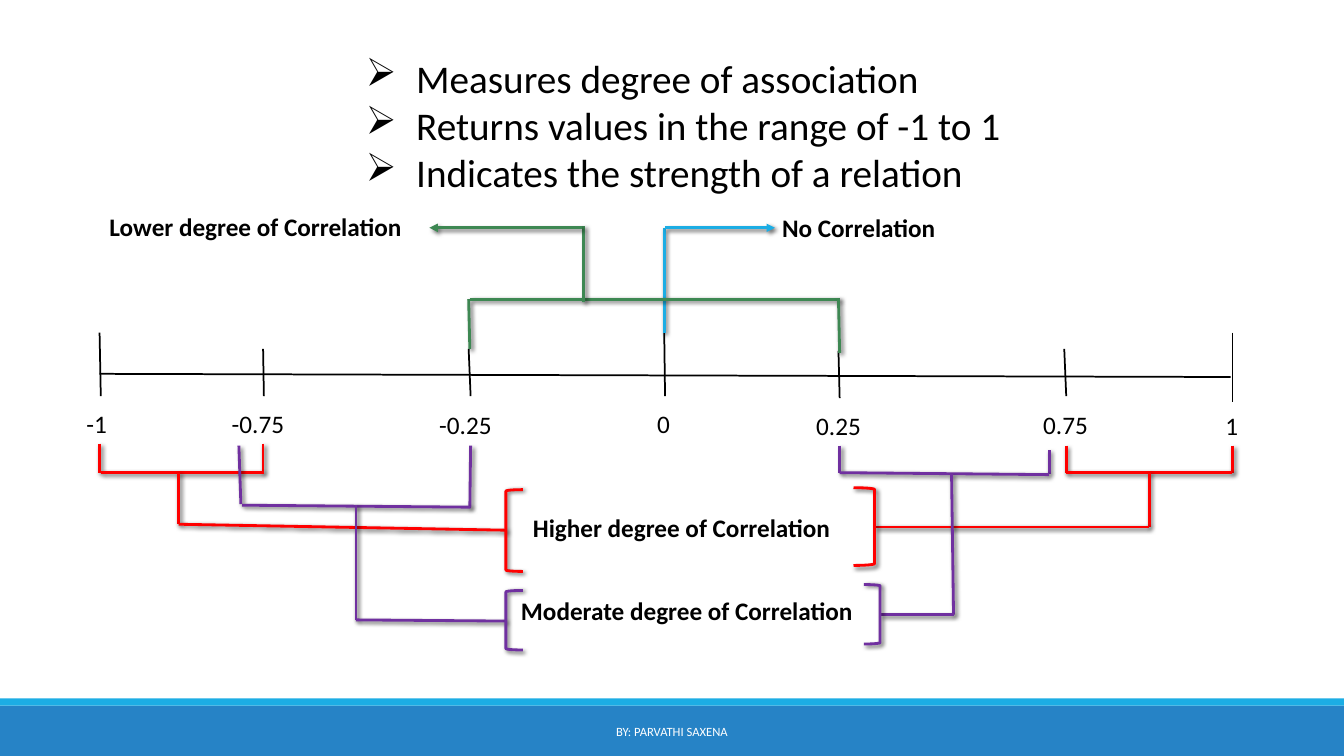
"""Build a slide that explains the scale of the correlation coefficient."""
import pptx
import pptx.dml.color
import pptx.enum.shapes
import pptx.enum.text
import pptx.oxml.ns
import pptx.util
from lxml import etree

Cm, Pt = pptx.util.Cm, pptx.util.Pt
rgb = pptx.dml.color.RGBColor.from_string
qn = pptx.oxml.ns.qn
PRESETS = pptx.enum.shapes.MSO_SHAPE
ALIGN = pptx.enum.text.PP_ALIGN

BLACK, WHITE = "000000", "FFFFFF"
BLUE, GREEN, RED, PURPLE = "1CADE4", "3E8853", "FF0000", "7030A0"

deck = pptx.Presentation()
deck.slide_width, deck.slide_height = Cm(33.87), Cm(19.05)
slide = deck.slides.add_slide(deck.slide_layouts[6])


def add_text(lines, left, top, width, height=1.02, size=18, color=BLACK, bold=False):
    frame = slide.shapes.add_textbox(Cm(left), Cm(top), Cm(width), Cm(height)).text_frame
    frame.word_wrap = True
    for index, line in enumerate(lines):
        paragraph = frame.add_paragraph() if index else frame.paragraphs[0]
        run = paragraph.add_run()
        run.text = line
        run.font.name = "Calibri"
        run.font.size = Pt(size)
        run.font.bold = bold
        run.font.color.rgb = rgb(color)
    return frame


def style_stroke(stroke, color, width, shadowed):
    stroke.line.color.rgb = rgb(color)
    stroke.line.width = Pt(width)
    effects = etree.SubElement(stroke.element.spPr, qn("a:effectLst"))
    if shadowed:
        shadow = etree.SubElement(effects, qn("a:outerShdw"), blurRad=str(Pt(3)),
                                  dist=str(Pt(2)), dir="2700000", rotWithShape="0")
        shade = etree.SubElement(shadow, qn("a:srgbClr"), val=BLACK)
        etree.SubElement(shade, qn("a:alpha"), val="60000")


for top, height, color in [(17.78, 1.27, "2683C6"), (17.6, 0.18, BLUE)]:
    band = slide.shapes.add_shape(PRESETS.RECTANGLE, 0, Cm(top), deck.slide_width, Cm(height))
    band.shadow.inherit = False
    band.fill.solid()
    band.fill.fore_color.rgb = rgb(color)
    band.line.fill.background()

key_points = add_text(["Measures degree of association",
                       "Returns values in the range of -1 to 1",
                       "Indicates the strength of a relation"], 8.97, 1.24, 17.37, 3.84, 28)
for point in key_points.paragraphs:
    properties = point._p.get_or_add_pPr()
    properties.set("marL", str(Cm(1.27)))
    properties.set("indent", str(-Cm(1.27)))
    etree.SubElement(properties, qn("a:buFont"), typeface="Wingdings")
    etree.SubElement(properties, qn("a:buChar"), char="Ø")

scale = [
    ("-1", (2.51, 8.38, 2.54, 9.98), (1.93, 10.16, 1.17)),
    ("-0.75", (6.63, 8.79, 6.65, 9.98), (5.59, 10.16, 2.06)),
    ("-0.25", (11.81, 8.79, 11.86, 9.98), (10.82, 10.19, 2.06)),
    ("0", (16.74, 8.38, 16.76, 9.98), (16.31, 10.16, 0.84)),
    ("0.25", (21.13, 8.84, 21.16, 10.03), (20.32, 10.21, 1.68)),
    ("0.75", (26.82, 8.79, 26.87, 9.98), (26.04, 10.19, 1.68)),
    ("1", (31.06, 8.38, 31.06, 10.13), (30.63, 10.21, 0.84)),
]
axis = (2.51, 9.42, 31.01, 9.5)
for value, tick, place in scale:
    add_text([value], *place)

arrows = [(16.76, 5.74, 19.53, 5.74), (14.66, 5.74, 10.82, 5.74)]
strokes = {
    BLACK: [axis] + [tick for value, tick, place in scale],
    BLUE: [(16.74, 8.38, 16.74, 5.74), arrows[0]],
    GREEN: [(11.84, 8.79, 11.81, 7.54), (11.84, 7.54, 21.16, 7.54),
            (21.13, 7.54, 21.16, 8.89), (14.71, 7.62, 14.71, 5.69), arrows[1]],
    RED: [(2.51, 11.18, 2.51, 11.91), (6.63, 11.18, 6.63, 11.91),
          (2.54, 11.91, 6.65, 11.91), (26.87, 11.23, 26.87, 11.91),
          (31.06, 11.23, 31.06, 11.91), (26.87, 11.91, 31.06, 11.91),
          (4.5, 11.91, 4.5, 13.21), (4.5, 13.21, 12.75, 13.36),
          (28.96, 11.91, 28.96, 13.28), (28.96, 13.28, 22.05, 13.28)],
    PURPLE: [(6.02, 11.23, 6.07, 12.7), (11.86, 11.23, 11.84, 12.8),
             (6.1, 12.73, 11.86, 12.78), (8.97, 12.73, 8.97, 15.62),
             (8.97, 15.62, 12.75, 15.65), (21.16, 11.23, 21.16, 11.91),
             (26.44, 11.35, 26.44, 11.94), (21.16, 11.91, 26.44, 11.96),
             (23.98, 11.94, 24.03, 15.49), (22.2, 15.49, 24.03, 15.49)],
}
for color, segments in strokes.items():
    for segment in segments:
        stroke = slide.shapes.add_connector(
            pptx.enum.shapes.MSO_CONNECTOR.STRAIGHT, *[Cm(value) for value in segment])
        style_stroke(stroke, color, 1.25 if color == BLACK else 2, color != BLACK)
        if segment in arrows:
            etree.SubElement(stroke.line._get_or_add_ln(), qn("a:tailEnd"), type="triangle")

brackets = [
    (PRESETS.LEFT_BRACKET, RED, (12.75, 12.34, 0.43, 2.06)),
    (PRESETS.RIGHT_BRACKET, RED, (21.51, 12.29, 0.53, 1.96)),
    (PRESETS.LEFT_BRACKET, PURPLE, (12.75, 14.88, 0.43, 1.5)),
    (PRESETS.RIGHT_BRACKET, PURPLE, (21.77, 14.73, 0.41, 1.5)),
]
for preset, color, place in brackets:
    bracket = slide.shapes.add_shape(preset, *[Cm(value) for value in place])
    bracket.fill.background()
    style_stroke(bracket, color, 2, True)

for caption, place in [
    ("No Correlation", (19.46, 5.23, 5.16)),
    ("Lower degree of Correlation", (2.51, 5.21, 8.64)),
    ("Higher degree of Correlation", (13.18, 12.78, 8.81)),
    ("Moderate degree of Correlation", (12.88, 14.88, 9.58)),
]:
    add_text([caption], *place, bold=True)

author = add_text(["BY: PARVATHI SAXENA"], 10.24, 17.93, 13.39, size=9, color=WHITE)
author.vertical_anchor = pptx.enum.text.MSO_ANCHOR.MIDDLE
author.paragraphs[0].alignment = ALIGN.CENTER

deck.save("out.pptx")
